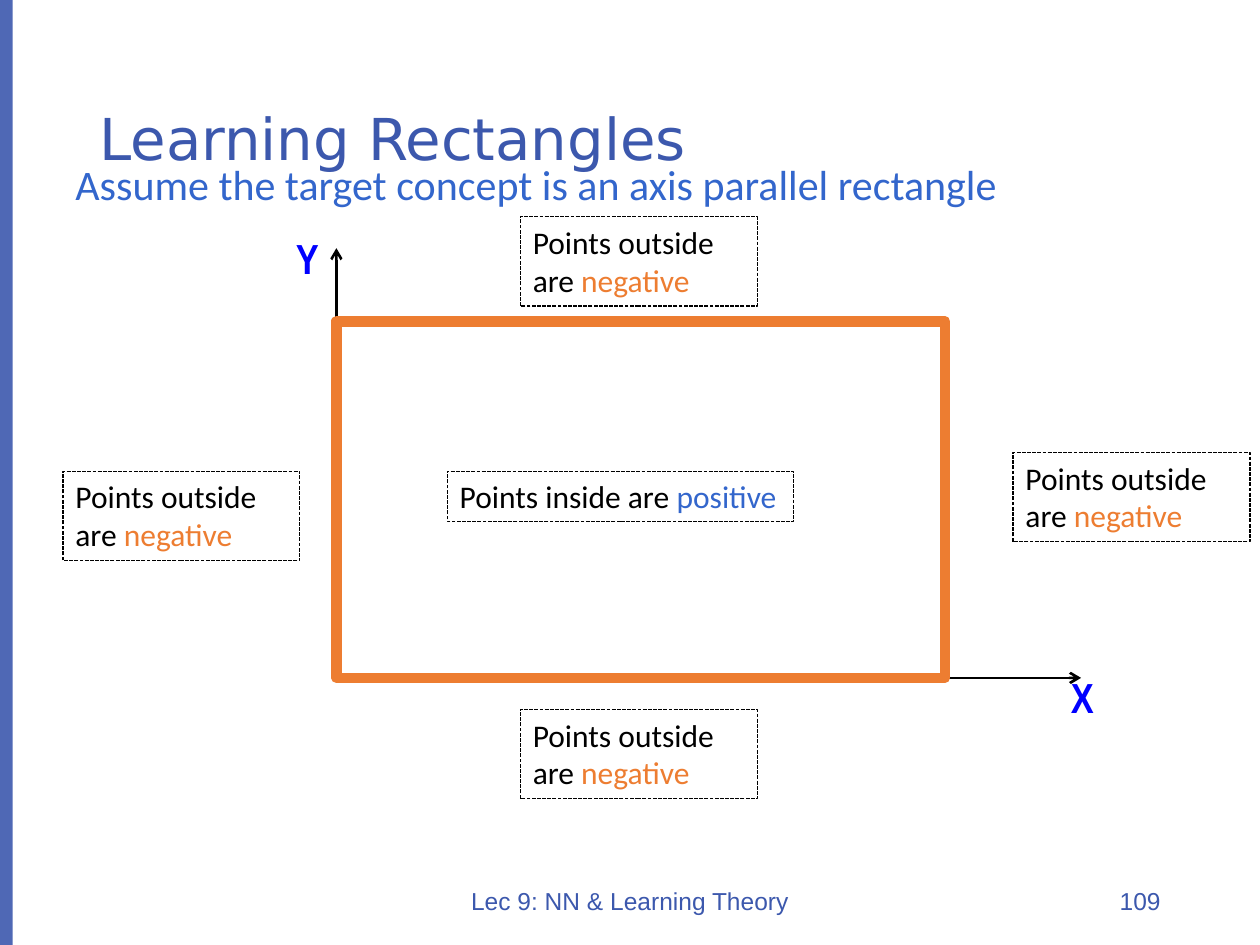
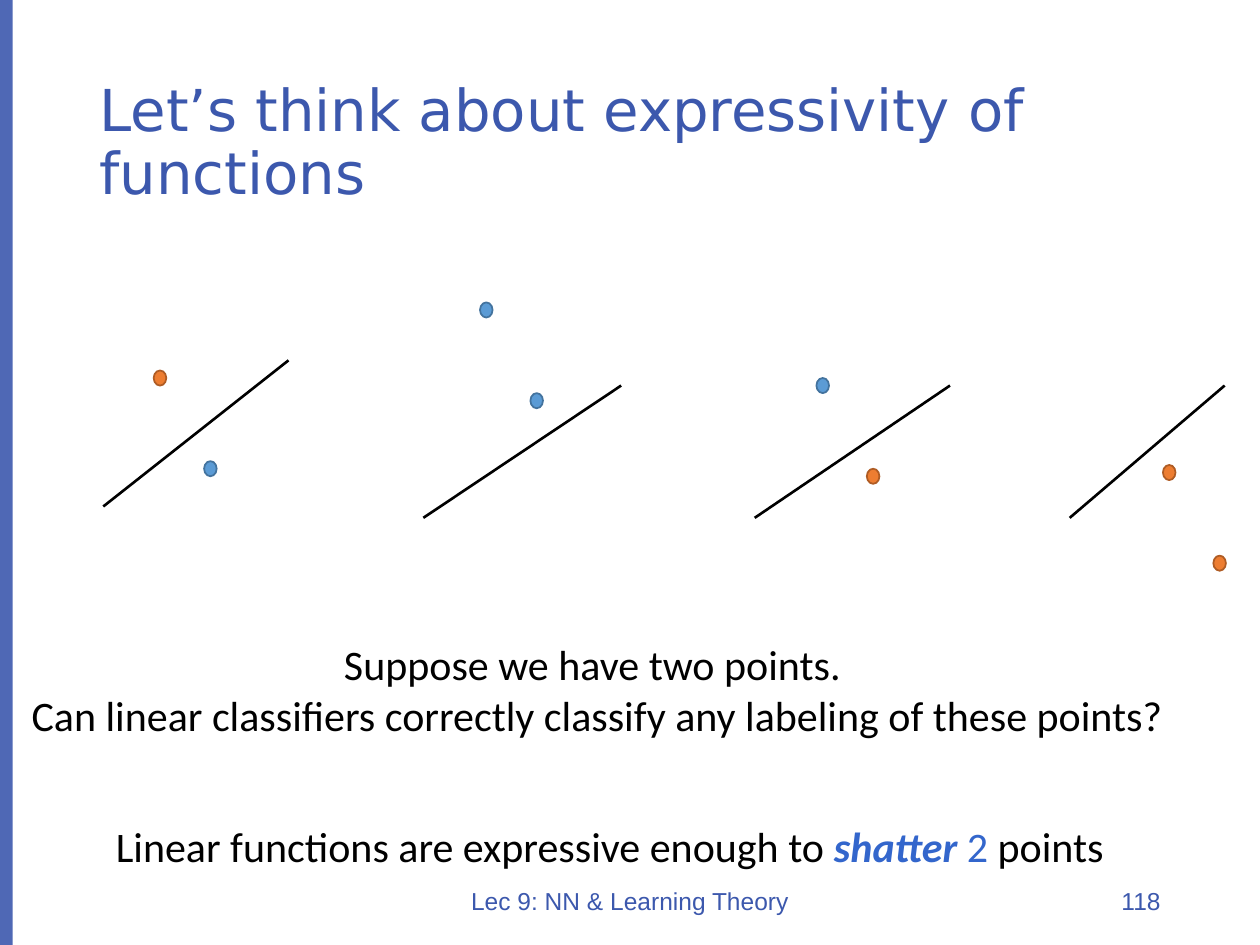
from lxml import etree
from pptx import Presentation
from pptx.dml.color import RGBColor
from pptx.enum import dml, shapes, text
from pptx.oxml import ns
from pptx.util import Inches, Pt

NAVY = RGBColor(0x3C, 0x58, 0xAD)
BLUE = RGBColor(0x33, 0x66, 0xCC)
PURE = RGBColor(0x00, 0x00, 0xFF)
ORANGE = RGBColor(0xED, 0x7D, 0x31)
RUST = RGBColor(0xAF, 0x5C, 0x24)
SKY = RGBColor(0x5B, 0x9B, 0xD5)
STEEL = RGBColor(0x43, 0x73, 0x9E)
BLACK = RGBColor(0, 0, 0)
WHITE = RGBColor(0xFF, 0xFF, 0xFF)

NEG = (ORANGE, RUST)
POS = (SKY, STEEL)
LEFT, MID, RIGHT = text.PP_ALIGN.LEFT, text.PP_ALIGN.CENTER, text.PP_ALIGN.RIGHT
RECT, OVAL = shapes.MSO_SHAPE.RECTANGLE, shapes.MSO_SHAPE.OVAL


def place(*nums):
    return [Inches(n) for n in nums]


def sub(node, tag, **attrs):
    return etree.SubElement(node, ns.qn(tag), attrs)


class Deck:
    def __init__(self):
        self.prs = Presentation()
        self.prs.slide_width, self.prs.slide_height = place(10, 7.5)
        self.slide = None

    def start(self, title, top, number):
        """Add a slide with the side band, title and footer."""
        self.slide = self.prs.slides.add_slide(self.prs.slide_layouts[5])
        band = self.shape(RECT, (0, 0, 0.1, 7.5), NAVY)
        color = band._element.spPr.find(".//" + ns.qn("a:srgbClr"))
        sub(color, "a:alpha", val="90000")

        head = self.slide.shapes.title
        head.left, head.top, head.width, head.height = place(0.69, top, 8.62, 1.45)
        self.put(head.text_frame, [[(title, NAVY)]], 33, "DejaVu Sans",
                 anchor=text.MSO_ANCHOR.MIDDLE)
        head.text_frame.paragraphs[0].line_spacing = 0.9

        for words, box, align in (
                ("Lec 9: NN & Learning Theory", (3.31, 6.95, 3.38, 0.4), MID),
                (str(number), (7.06, 6.95, 2.25, 0.4), RIGHT)):
            self.text(box, [[(words, NAVY)]], 14, "Arial", align,
                      anchor=text.MSO_ANCHOR.MIDDLE)

    def put(self, frame, paras, size, font="Calibri", align=LEFT, bold=None,
            wrap=True, anchor=text.MSO_ANCHOR.TOP):
        """Fill a frame; each paragraph is a list of (words, color[, strong])."""
        frame.word_wrap = wrap
        frame.auto_size = text.MSO_AUTO_SIZE.NONE
        frame.vertical_anchor = anchor
        for i, parts in enumerate(paras):
            para = frame.add_paragraph() if i else frame.paragraphs[0]
            para.alignment = align
            para.font.size, para.font.name, para.font.bold = Pt(size), font, bold
            for words, color, *strong in parts:
                run = para.add_run()
                run.text = words
                run.font.color.rgb = color
                if strong:
                    run.font.bold = run.font.italic = True

    def text(self, box, paras, size=24, font="Calibri", align=LEFT, **style):
        item = self.slide.shapes.add_textbox(*place(*box))
        self.put(item.text_frame, paras, size, font, align, **style)

    def shape(self, kind, box, fill, line=None, width=1, group=None):
        item = (group or self.slide).shapes.add_shape(kind, *place(*box))
        item.shadow.inherit = False
        item.fill.solid()
        item.fill.fore_color.rgb = fill
        if line is None:
            item.line.fill.background()
        else:
            item.line.color.rgb = line
            item.line.width = Pt(width)
        return item

    def label(self, box, words, key, color, wrap=True):
        """Dashed box whose last word is coloured."""
        item = self.shape(RECT, box, WHITE, BLACK, 0.75)
        item.line.dash_style = dml.MSO_LINE.SQUARE_DOT
        self.put(item.text_frame, [[(words, BLACK), (key, color)]], 18, wrap=wrap)

    def line(self, start, end, arrow=False, group=None):
        item = (group or self.slide).shapes.add_connector(
            shapes.MSO_CONNECTOR.STRAIGHT, *place(*start, *end))
        item.line.color.rgb = BLACK
        item.line.width = Pt(1.5)
        props = item._element.spPr
        if arrow:
            sub(props.find(ns.qn("a:ln")), "a:tailEnd", type="arrow")
        sub(props, "a:effectLst")

    def panel(self, spot, kinds, start, end):
        """Two labelled points and the line that classifies them."""
        group = self.slide.shapes.add_group_shape()
        for i, (fill, edge) in enumerate(kinds):
            box = (spot[0] + 0.4 * i, spot[1] + 0.72 * i, 0.1, 0.12)
            self.shape(OVAL, box, fill, edge, group=group)
        self.line(start, end, group=group)


def main():
    deck = Deck()

    # Target rectangle on its axes
    deck.start("Learning Rectangles", 0.4, 109)
    deck.line((2.67, 5.38), (8.58, 5.38), arrow=True)
    deck.line((2.67, 5.3), (2.67, 1.97), arrow=True)
    for name, x, y in (("X", 8.4, 5.28), ("Y", 2.25, 1.8)):
        deck.text((x, y, 0.38, 0.5), [[(name, PURE)]], 24, "Arial Narrow",
                  bold=True, wrap=False)
    deck.shape(RECT, (2.67, 2.55, 4.83, 2.83), WHITE, ORANGE, 6)
    deck.text((0.5, 1.21, 7.62, 0.5),
              [[("Assume the target concept is an axis parallel rectangle", BLUE)]],
              wrap=False)

    # Labels inside and around it
    deck.label((3.55, 3.74, 2.75, 0.4), "Points inside are ", "positive", BLUE,
               wrap=False)
    for x, y in ((0.5, 3.74), (4.13, 5.63), (8.04, 3.59), (4.13, 1.72)):
        deck.label((x, y, 1.88, 0.71), "Points outside are ", "negative", ORANGE)

    # Every labeling of two points
    deck.start("Let’s think about expressivity of functions", 0.42, 118)
    deck.text((-0.24, 5.02, 9.96, 0.91), [
        [("Suppose we have two points. ", BLACK)],
        [("Can linear classifiers correctly classify any labeling of these points?",
          BLACK)]], align=MID)
    deck.text((0.61, 6.46, 8.46, 0.5), [[
        ("Linear functions are expressive enough to ", BLACK),
        ("shatter", BLUE, True), (" 2 ", BLUE), ("points", BLACK)]], align=MID)
    deck.panel((1.22, 2.94), (NEG, POS), (0.82, 4.02), (2.29, 2.86))
    deck.panel((3.81, 2.4), (POS, POS), (3.36, 4.11), (4.93, 3.06))
    deck.panel((6.48, 3), (POS, NEG), (5.99, 4.11), (7.54, 3.06))
    deck.panel((9.23, 3.69), (NEG, NEG), (8.49, 4.11), (9.72, 3.06))

    deck.prs.save("out.pptx")


if __name__ == "__main__":
    main()
